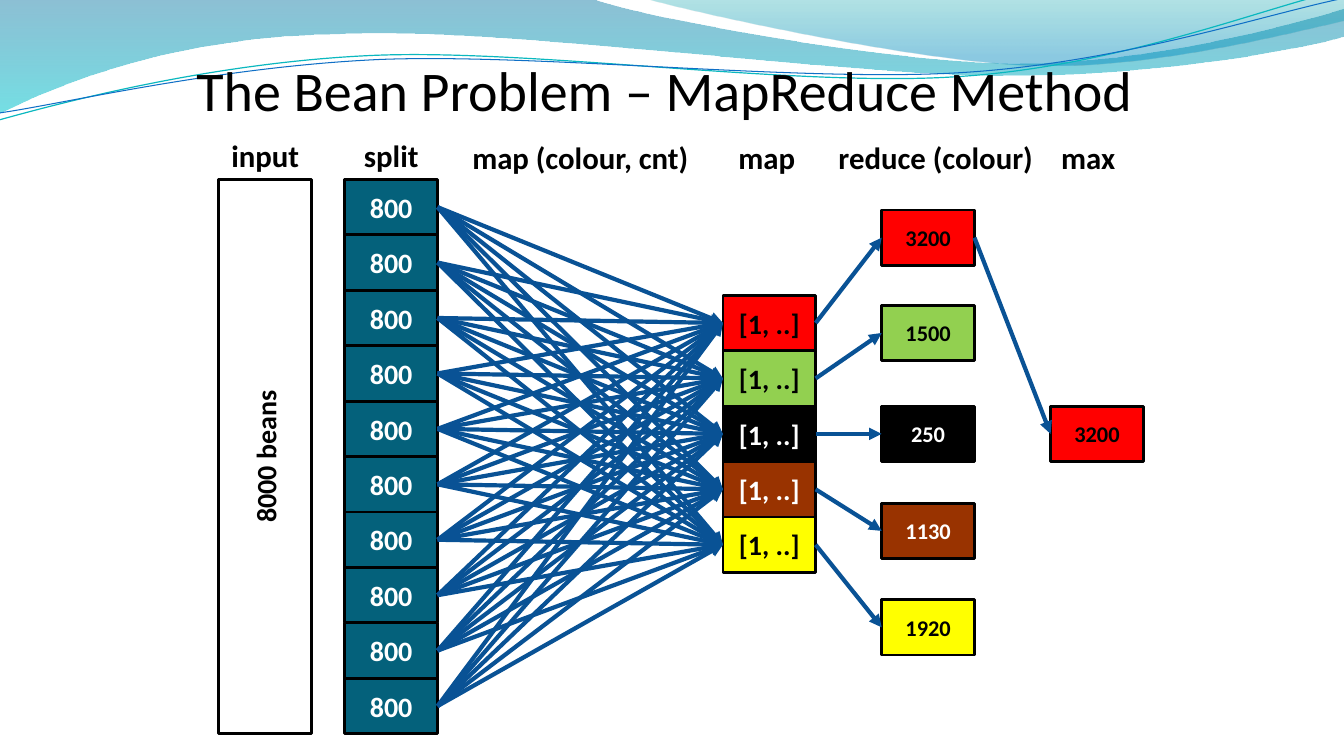
from lxml.etree import SubElement
from pptx import Presentation
from pptx.dml.color import RGBColor
from pptx.enum.shapes import MSO_CONNECTOR, MSO_SHAPE
from pptx.enum.text import MSO_ANCHOR, PP_ALIGN
from pptx.oxml.ns import qn
from pptx.util import Inches, Pt

# Grid: column pitch, row height and top left corner, in inches
LEFT, PITCH = 2.17, 1.25
TOP, ROW = 1.78, 0.55
WIDE = 0.92

RED, GREEN, BLACK, BROWN, YELLOW = "FF0000", "92D050", "000000", "993300", "FFFF00"
WHITE, TEAL, BLUE = "FFFFFF", "04617B", "095295"

# Wave outlines in inches: two numbers are a straight step, six a curve
BAND = [(0, 0), (5.87, -0.01), (6.34, 0.17, 8.85, 0.63, 10.11, 0.63),
        (11.38, 0.63, 12.78, 0.26, 13.33, 0.09), (13.35, 0.36),
        (13.11, 0.44, 11.6, 0.76, 9.94, 0.75),
        (8.29, 0.75, 5.09, 0.28, 3.43, 0.34),
        (1.72, 0.36, 0.61, 0.83, -0.01, 1.13), (0, 0)]
CREST = [(6.39, -0.01), (6.79, 0.11, 9.09, 0.62, 10.25, 0.65),
         (11.41, 0.69, 12.82, 0.32, 13.33, 0.21), (13.33, 0), (6.39, -0.01)]
CYAN_LINE = [(-0.01, 1.19), (0.64, 1.01, 2.11, 0.62, 3.69, 0.55),
             (5.27, 0.48, 7.9, 0.87, 9.5, 0.76),
             (11.1, 0.66, 12.52, 0.08, 13.31, -0.1)]
BLUE_LINE = [(0, 1.12), (0.63, 1.03, 2.18, 0.66, 3.78, 0.59),
             (5.37, 0.53, 7.96, 0.82, 9.55, 0.72),
             (11.15, 0.62, 12.55, 0.14, 13.34, -0.02)]

# Header text, column, row, width
HEADS = [("input", 0, -0.86, WIDE), ("split", 1, -0.86, WIDE),
         ("map (colour, cnt)", 2.5, -0.83, 2.42), ("map", 3.98, -0.83, WIDE),
         ("reduce (colour)", 5.32, -0.82, 2.23), ("max", 6.53, -0.82, WIDE)]

# Fill, text colour, reduced count, row of the reduced box
BEANS = [(RED, BLACK, "3200", 0.55), (GREEN, BLACK, "1500", 2.27),
         (BLACK, WHITE, "250", 4.09), (BROWN, WHITE, "1130", 5.84),
         (YELLOW, BLACK, "1920", 7.58)]


def paint(code):
    return RGBColor.from_string(code)


def write(frame, text, size, color, bold=True, align=PP_ALIGN.CENTER):
    frame.word_wrap = True
    frame.text = text
    para = frame.paragraphs[0]
    para.alignment = align
    font = para.runs[0].font
    font.name, font.size, font.bold = "Calibri", Pt(size), bold
    font.color.rgb = paint(color)


def label(slide, text, left, top, width, height, size, **style):
    area = slide.shapes.add_textbox(*map(Inches, (left, top, width, height)))
    write(area.text_frame, text, size, BLACK, **style)


def box(slide, text, col, row, fill, color, size=20, rows=1):
    rect = slide.shapes.add_shape(
        MSO_SHAPE.RECTANGLE, Inches(LEFT + col * PITCH),
        Inches(TOP + row * ROW), Inches(WIDE), Inches(rows * ROW))
    rect.shadow.inherit = False
    rect.fill.solid()
    rect.fill.fore_color.rgb = paint(fill)
    rect.line.color.rgb = paint(BLACK)
    rect.line.width = Pt(2)
    rect.text_frame.vertical_anchor = MSO_ANCHOR.MIDDLE
    write(rect.text_frame, text, size, color)
    return rect


def arrow(slide, start, end):
    link = slide.shapes.add_connector(MSO_CONNECTOR.STRAIGHT, 0, 0, 0, 0)
    link.begin_connect(start, 3)
    link.end_connect(end, 1)
    link.line.color.rgb = paint(BLUE)
    link.line.width = Pt(3)
    props = link.element.spPr
    SubElement(props.find(qn("a:ln")), qn("a:tailEnd"), type="triangle")
    SubElement(props, qn("a:effectLst"))


def curve(slide, steps, close):
    """Draw the steps, joining each three points of a curve into one Bézier."""
    points = [tuple(round(n * 100) for n in step[i:i + 2])
              for step in steps for i in range(0, len(step), 2)]
    pen = slide.shapes.build_freeform(*points[0], scale=Inches(0.01))
    pen.add_line_segments(points[1:], close=close)
    shape = pen.convert_to_shape()
    shape.shadow.inherit = False
    route = next(shape.element.iter(qn("a:path")))
    lines = iter(route.findall(qn("a:lnTo")))
    for step in steps[1:]:
        first = next(lines)
        if len(step) == 6:
            bend = SubElement(route, qn("a:cubicBezTo"))
            first.addprevious(bend)
            for line in (first, next(lines), next(lines)):
                bend.append(line[0])
                route.remove(line)
    return shape


def wave(slide, steps, stops):
    """Closed wave with a see-through gradient from top to bottom."""
    shape = curve(slide, steps, True)
    shape.line.fill.background()
    shape.fill.gradient()
    shape.fill.gradient_angle = 270
    for stop, (place, code, alpha) in zip(shape.fill.gradient_stops, stops):
        stop.position = place
        stop.color.rgb = paint(code)
    tints = shape.element.spPr.iter(qn("a:srgbClr"))
    for tint, (place, code, alpha) in zip(tints, stops):
        SubElement(tint, qn("a:alpha"), val=str(alpha * 1000))


def strand(slide, steps, code, width):
    shape = curve(slide, steps, False)
    shape.fill.background()
    shape.line.color.rgb = paint(code)
    shape.line.width = Pt(width)


def main():
    deck = Presentation()
    deck.slide_width, deck.slide_height = Inches(13.33), Inches(7.5)
    slide = deck.slides.add_slide(deck.slide_layouts[6])

    # Waves along the top
    wave(slide, BAND, [(0, "0074A1", 45), (1, "00C6CF", 55)])
    wave(slide, CREST, [(0, "00A1A9", 30), (0.8, "008BBF", 45)])
    strand(slide, CYAN_LINE, "0AB8BF", 0.85)
    strand(slide, BLUE_LINE, "0F6FC6", 0.75)

    # Title and column headers
    label(slide, "The Bean Problem – MapReduce Method", 1.73, 0.5, 9.6, 0.77,
          40, bold=False, align=PP_ALIGN.RIGHT)
    for text, col, row, width in HEADS:
        mid = LEFT + col * PITCH + WIDE / 2
        label(slide, text, mid - width / 2, TOP + row * ROW, width, 0.47, 22)

    # Input and its ten splits
    beans = box(slide, "8000 beans", 0, 0, WHITE, BLACK, rows=10)
    beans.element.txBody.find(qn("a:bodyPr")).set("vert", "vert270")
    splits = [box(slide, "800", 1, i, TEAL, WHITE) for i in range(10)]

    # Map boxes, one per colour, fed by every split
    maps = [box(slide, "[1, ..]", 4, 2.09 + i, fill, color)
            for i, (fill, color, *rest) in enumerate(BEANS)]
    for target in maps:
        for split in splits:
            arrow(slide, split, target)

    # Reduced counts and the largest one
    sums = [box(slide, count, 5.26, row, fill, color, 16)
            for fill, color, count, row in BEANS]
    for start, end in zip(maps, sums):
        arrow(slide, start, end)
    most = box(slide, "3200", 6.6, 4.09, RED, BLACK, 16)
    arrow(slide, sums[0], most)

    deck.save("out.pptx")


if __name__ == "__main__":
    main()
